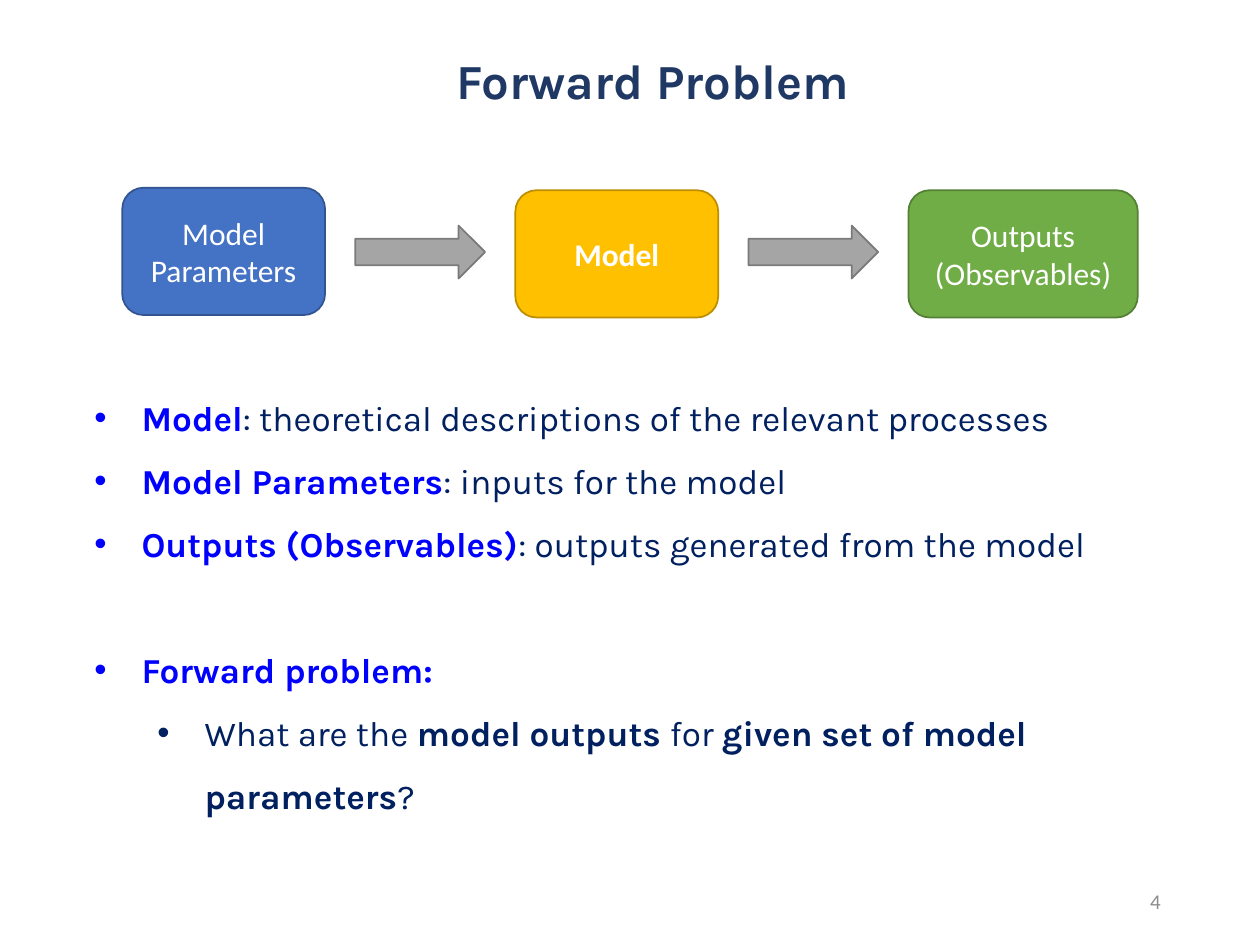
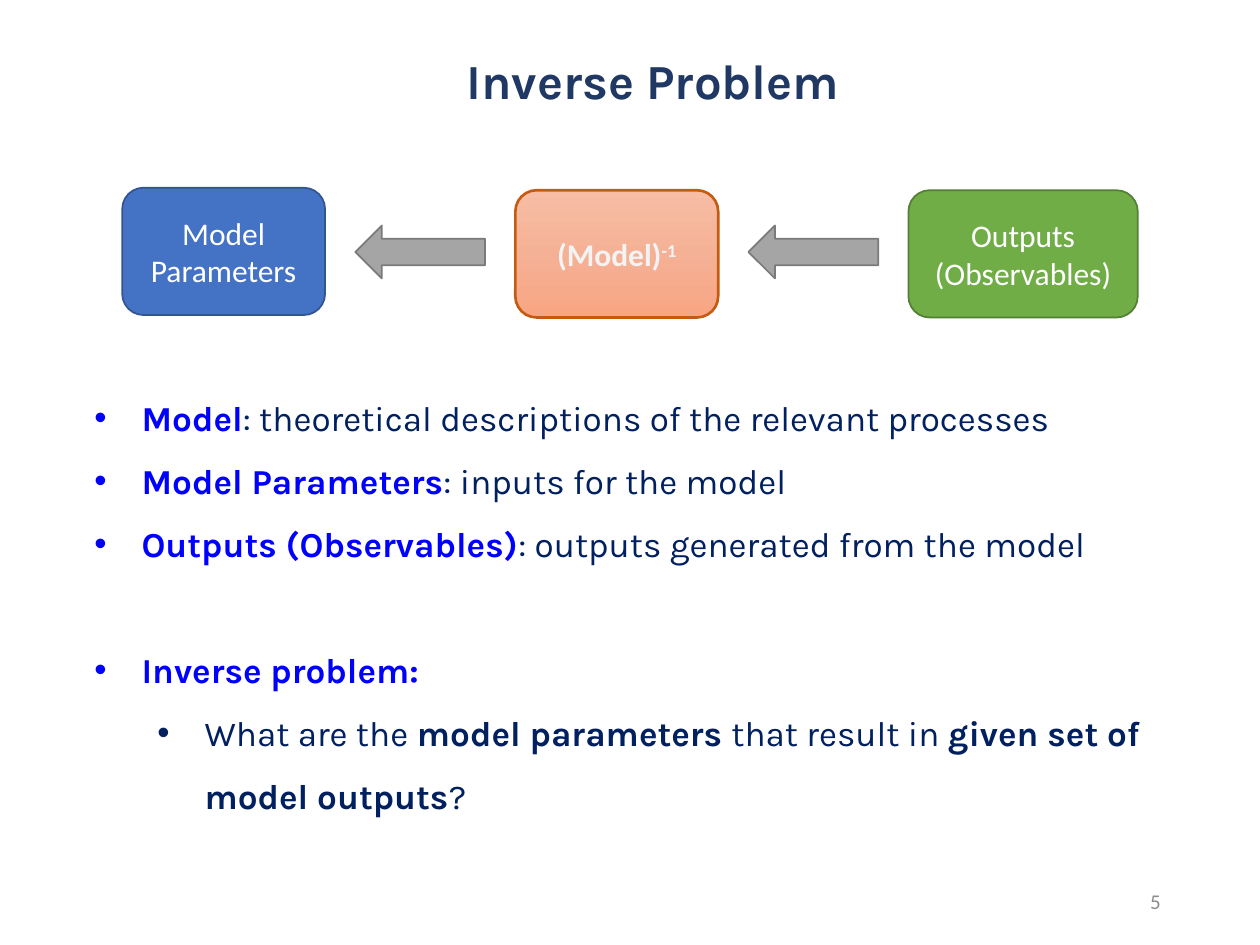
from copy import deepcopy
from dataclasses import dataclass, replace
from typing import NamedTuple

from lxml.etree import SubElement
from pptx import Presentation
from pptx.dml.color import RGBColor
from pptx.enum.shapes import MSO_SHAPE
from pptx.enum.text import MSO_ANCHOR, MSO_AUTO_SIZE, PP_ALIGN
from pptx.oxml.ns import qn
from pptx.shapes.autoshape import Shape
from pptx.slide import Slide
from pptx.text.text import TextFrame
from pptx.util import Pt


@dataclass(frozen=True)
class Look:
    font: str
    size: float
    color: str
    bold: bool = False
    lift: int = 0


@dataclass(frozen=True)
class Theme:
    title: Look = Look("Karla", 28, "203864", True)
    term: Look = Look("Karla", 20, "0000FF", True)
    plain: Look = Look("Karla", 20, "002060")
    strong: Look = Look("Karla", 20, "002060", True)
    label: Look = Look("Calibri", 18, "FFFFFF")
    heavy: Look = Look("Calibri", 18, "FFFFFF", True)
    pale: Look = Look("Calibri", 18, "F3F3F3", True)
    page: Look = Look("Calibri", 12, "8C8C8C")
    blue: tuple[str, ...] = ("4472C4",)
    gold: tuple[str, ...] = ("FFC000",)
    green: tuple[str, ...] = ("70AD47",)
    peach: tuple[str, ...] = ("F7BDA5", "F5B196", "F8A582")
    gray: tuple[str, ...] = ("A5A5A5",)


THEME = Theme()


class Rect(NamedTuple):
    left: float
    top: float
    width: float
    height: float


class Bit(NamedTuple):
    text: str
    look: Look


class Point(NamedTuple):
    bits: list[Bit]
    level: int = 0
    gap: float = 0


class Block(NamedTuple):
    rect: Rect
    fill: tuple[str, ...]
    edge: str
    bits: list[Bit]
    weight: float = 1


class Topic(NamedTuple):
    name: str
    page: int
    model: Block
    turn: int
    quest: list[Bit]


STEP = 224.64
FIRST = 69.84
ARROW = 203.04
TITLE = Rect(80.64, 20.88, 584.64, 45.36)
BODY = Rect(46.8, 210.96, 625.68, 285.84)
PAGE = Rect(508.32, 500.4, 162, 28.8)
MODEL = Rect(FIRST + STEP, 108.72, 115.92, 72.72)

INPUT = Block(Rect(FIRST, 107.28, 115.92, 72.72), THEME.blue, "325491",
              [Bit("Model Parameters", THEME.label)])
OUTPUT = Block(Rect(FIRST + 2 * STEP, 108.72, 131.04, 72.72), THEME.green, "538035",
               [Bit("Outputs (Observables)", THEME.label)])

TERMS = [
    ("Model", ": theoretical descriptions of the relevant processes"),
    ("Model Parameters", ": inputs for the model"),
    ("Outputs (Observables)", ": outputs generated from the model"),
]

TOPICS = [
    Topic("Forward", 4,
          Block(MODEL, THEME.gold, "BD8E00", [Bit("Model", THEME.heavy)]), 0,
          [Bit("What are the ", THEME.plain), Bit("model outputs ", THEME.strong),
           Bit("for ", THEME.plain), Bit("given set of model parameters", THEME.strong),
           Bit("?", THEME.plain)]),
    Topic("Inverse", 5,
          Block(MODEL, THEME.peach, "C55A11",
                [Bit("(Model)", THEME.pale), Bit("-1", replace(THEME.pale, lift=30000))], 1.5),
          180,
          [Bit("What are the ", THEME.plain), Bit("model parameters ", THEME.strong),
           Bit("that result in ", THEME.plain), Bit("given set of model outputs", THEME.strong),
           Bit("?", THEME.plain)]),
]


def place(rect: Rect) -> list[Pt]:
    return [Pt(side) for side in rect]


def write(para, bits: list[Bit]) -> None:
    for text, look in bits:
        run = para.add_run()
        run.text = text
        run.font.name = look.font
        run.font.size = Pt(look.size)
        run.font.bold = look.bold
        run.font.color.rgb = RGBColor.from_string(look.color)
        if look.lift:
            run.font._element.set("baseline", str(look.lift))


def add_text(slide: Slide, rect: Rect, anchor: MSO_ANCHOR) -> TextFrame:
    frame = slide.shapes.add_textbox(*place(rect)).text_frame
    frame.word_wrap = True
    frame.vertical_anchor = anchor
    return frame


def add_line(slide: Slide, rect: Rect, anchor: MSO_ANCHOR, align: PP_ALIGN,
             bit: Bit, space: float = 1) -> None:
    para = add_text(slide, rect, anchor).paragraphs[0]
    para.alignment = align
    para.line_spacing = space
    write(para, [bit])


def paint(shape: Shape, tints: tuple[str, ...]) -> None:
    fill = shape.fill
    if len(tints) == 1:
        fill.solid()
        fill.fore_color.rgb = RGBColor.from_string(tints[0])
        return
    fill.gradient()
    fill.gradient_angle = 270
    stops = shape._element.spPr.find(qn("a:gradFill")).find(qn("a:gsLst"))
    for _ in tints[2:]:
        stops.append(deepcopy(stops[0]))
    for rank, (stop, tint) in enumerate(zip(fill.gradient_stops, tints)):
        stop.position = rank / (len(tints) - 1)
        stop.color.rgb = RGBColor.from_string(tint)


def add_block(slide: Slide, kind: MSO_SHAPE, block: Block) -> Shape:
    shape = slide.shapes.add_shape(kind, *place(block.rect))
    shape.shadow.inherit = False
    paint(shape, block.fill)
    shape.line.color.rgb = RGBColor.from_string(block.edge)
    shape.line.width = Pt(block.weight)
    para = shape.text_frame.paragraphs[0]
    para.alignment = PP_ALIGN.CENTER
    write(para, block.bits)
    return shape


def add_flow(slide: Slide, topic: Topic) -> None:
    for block in (INPUT, topic.model, OUTPUT):
        add_block(slide, MSO_SHAPE.ROUNDED_RECTANGLE, block)
    for rank in range(2):
        rect = Rect(ARROW + rank * STEP, 128.88, 74.16, 30.24)
        arrow = add_block(slide, MSO_SHAPE.RIGHT_ARROW, Block(rect, THEME.gray, "7A7A7A", []))
        arrow.rotation = topic.turn


def add_points(slide: Slide, points: list[Point]) -> None:
    frame = add_text(slide, BODY, MSO_ANCHOR.TOP)
    frame.auto_size = MSO_AUTO_SIZE.SHAPE_TO_FIT_TEXT
    for rank, point in enumerate(points):
        para = frame.add_paragraph() if rank else frame.paragraphs[0]
        para.level = point.level
        para.line_spacing = 1.5
        if point.gap:
            para.space_before = Pt(point.gap)
        props = para._p.get_or_add_pPr()
        props.set("marL", str(Pt(27 + 36 * point.level)))
        props.set("indent", str(-Pt(27)))
        SubElement(props, qn("a:buFont"), typeface="Arial")
        SubElement(props, qn("a:buChar"), char="•")
        write(para, point.bits)


def add_topic(slide: Slide, topic: Topic) -> None:
    add_line(slide, TITLE, MSO_ANCHOR.BOTTOM, PP_ALIGN.CENTER,
             Bit(f"{topic.name} Problem", THEME.title), 0.9)
    add_line(slide, PAGE, MSO_ANCHOR.MIDDLE, PP_ALIGN.RIGHT, Bit(str(topic.page), THEME.page))
    add_flow(slide, topic)
    points = [Point([Bit(term, THEME.term), Bit(rest, THEME.plain)]) for term, rest in TERMS]
    points.append(Point([Bit(f"{topic.name} problem:", THEME.term)], gap=36))
    points.append(Point(topic.quest, level=1))
    add_points(slide, points)


def main() -> None:
    deck = Presentation()
    deck.slide_width = Pt(720)
    deck.slide_height = Pt(540)
    for topic in TOPICS:
        add_topic(deck.slides.add_slide(deck.slide_layouts[6]), topic)
    deck.save("out.pptx")


if __name__ == "__main__":
    main()
